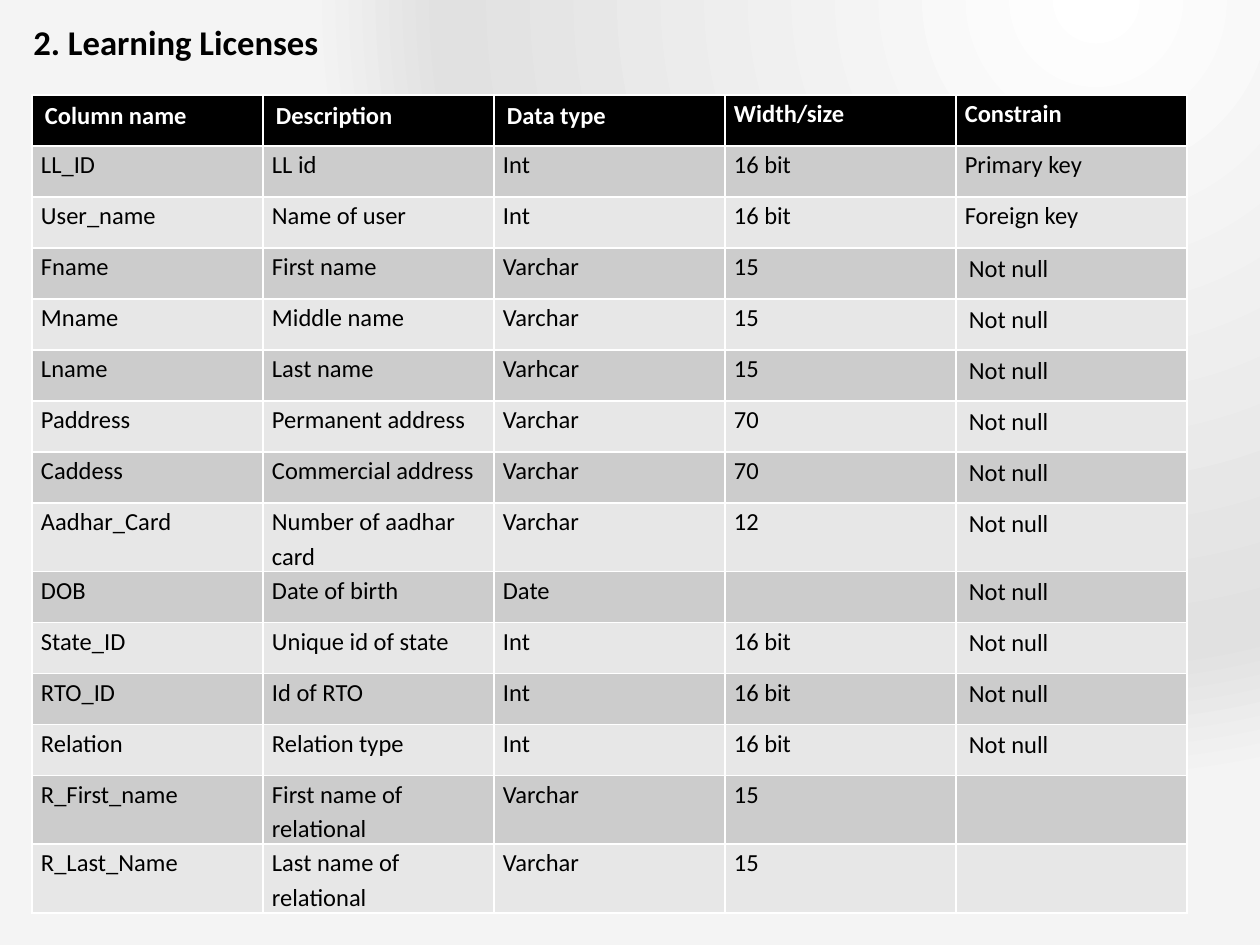
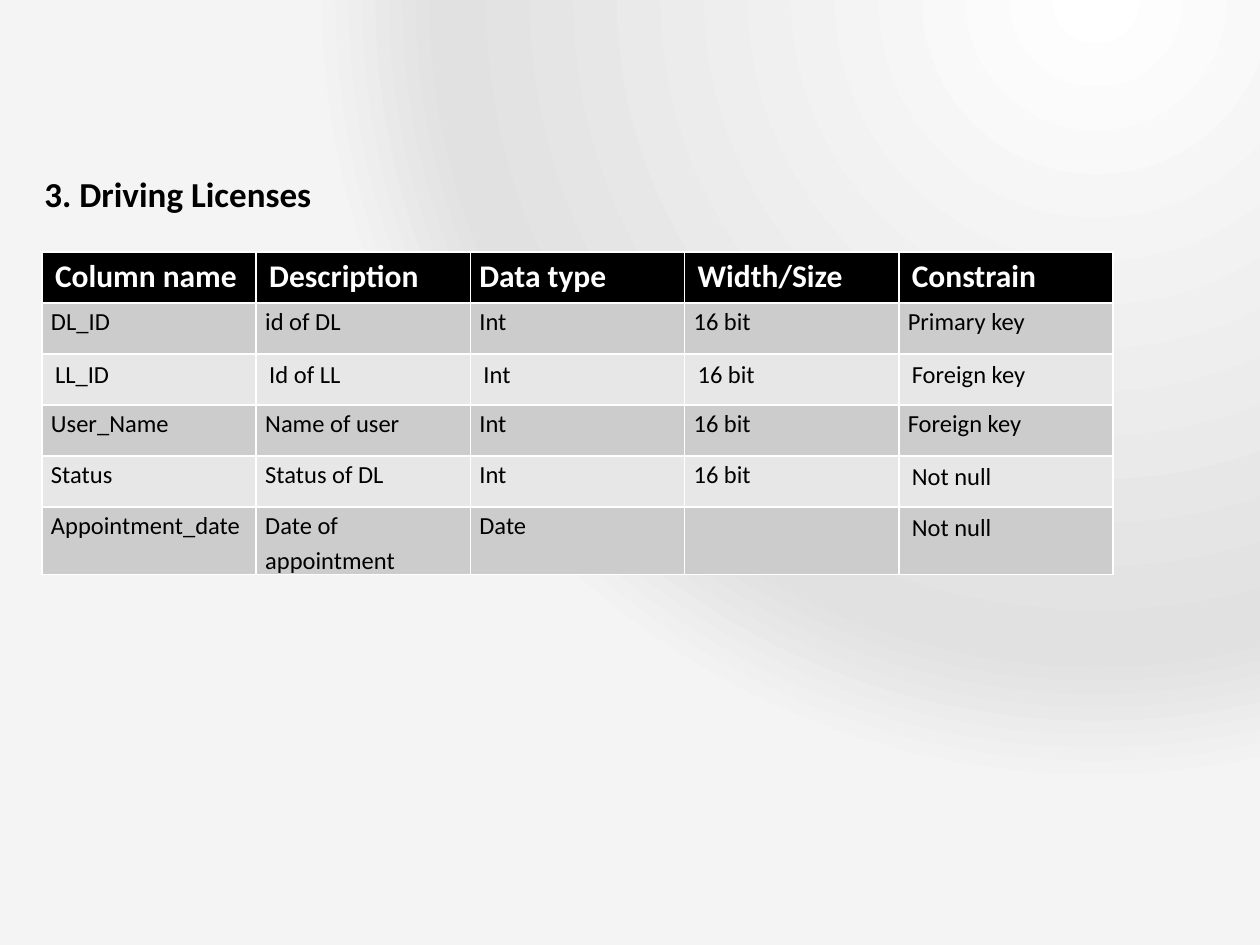
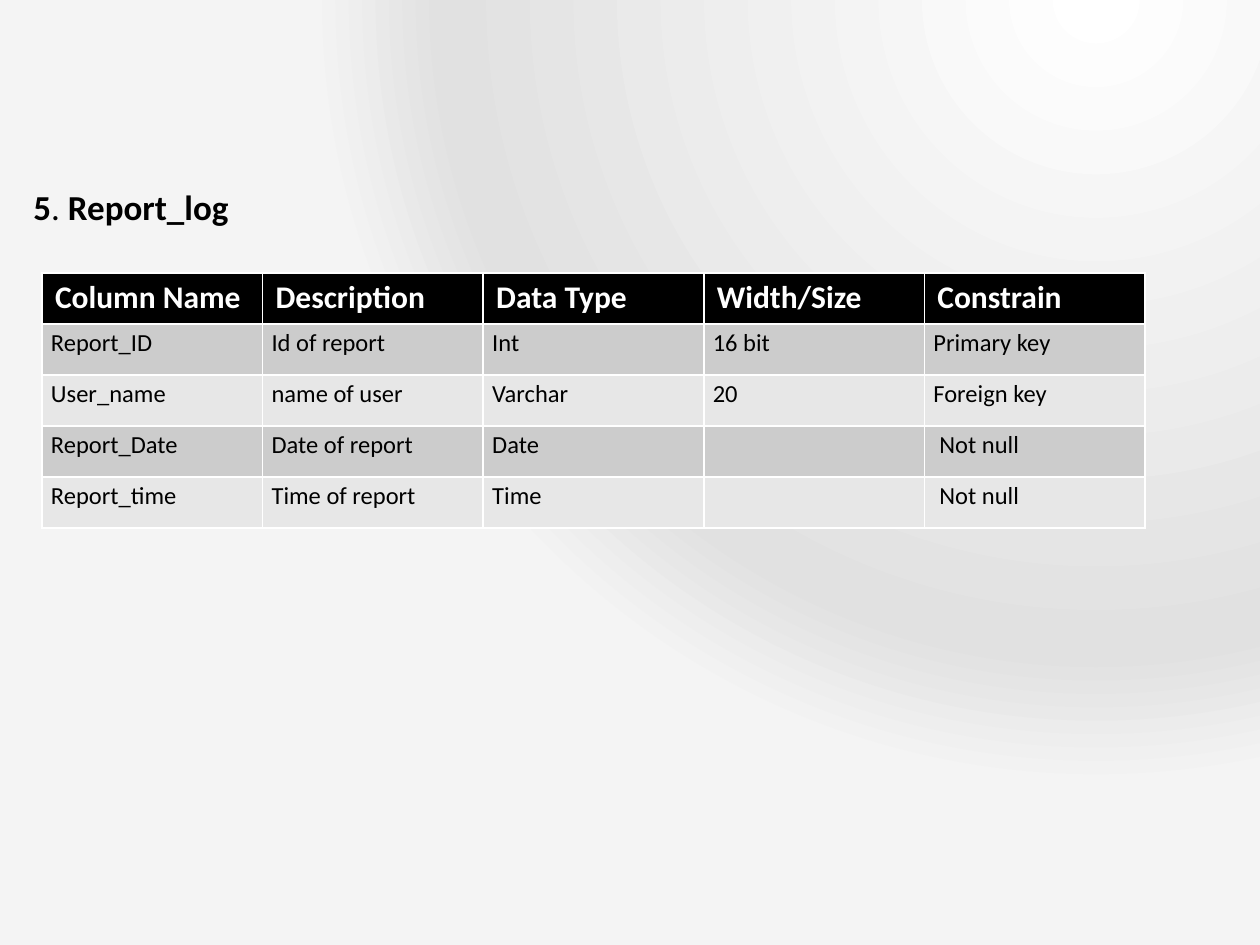
"""Builds three slides that describe the columns of licence database tables."""
from lxml import etree
from pptx import Presentation
from pptx.dml.color import RGBColor
from pptx.enum.text import MSO_ANCHOR
from pptx.oxml import parse_xml
from pptx.util import Emu, Pt

FONT = "Calibri"
BLACK, WHITE = "000000", "FFFFFF"
BANDS = ("CCCCCC", "E7E7E7")
GLOW_STOPS = [(0, "FFFFFF"), (83, "E1E1E1"), (100, "F4F4F4")]
GLOW_RECT = {"l": 75, "t": 100, "r": 0, "b": 300}
DRAWING_NS = "http://schemas.openxmlformats.org/drawingml/2006/main"
SLIDE_SIZE = (1260, 945)
ROW_HEIGHT = 51

# Cell padding: left, top, right, bottom in px, then line spacing
PADDING = {
    "r": (13, 6, 13, 6, None),
    "t": (9, 0, 9, 0, 1.15),
    "i": (15, 0, 9, 0, 1.15),
}

SLIDES = [
    {
        "title": [("2. Learning Licenses", True)],
        "title_size": 19.8,
        "title_box": (21, 21, 420, 95),
        "title_inset": 0,
        "table_box": (32, 95, 1155, 817),
        "header_size": 14,
        "padding": ["rrrtt"] + ["ttttt"] * 2 + ["ttttr"] * 12,
        "rows": [
            ("Column name", "Description", "Data type", "Width/size", "Constrain"),
            ("LL_ID", "LL id", "Int", "16 bit", "Primary key"),
            ("User_name", "Name of user", "Int", "16 bit", "Foreign key"),
            ("Fname", "First name", "Varchar", "15", "Not null"),
            ("Mname", "Middle name", "Varchar", "15", "Not null"),
            ("Lname", "Last name", "Varhcar", "15", "Not null"),
            ("Paddress", "Permanent address", "Varchar", "70", "Not null"),
            ("Caddess", "Commercial address", "Varchar", "70", "Not null"),
            ("Aadhar_Card", "Number of aadhar card", "Varchar", "12", "Not null"),
            ("DOB", "Date of birth", "Date", "", "Not null"),
            ("State_ID", "Unique id of state", "Int", "16 bit", "Not null"),
            ("RTO_ID", "Id of RTO", "Int", "16 bit", "Not null"),
            ("Relation", "Relation type", "Int", "16 bit", "Not null"),
            ("R_First_name", "First name of relational", "Varchar", "15", ""),
            ("R_Last_Name", "Last name of relational", "Varchar", "15", ""),
        ],
    },
    {
        "title": [("3. Driving Licenses", True)],
        "title_size": 20,
        "title_box": (32, 63, 1029, 262),
        "title_inset": 110,
        "table_box": (42, 252, 1071, 322),
        "header_size": 18,
        "padding": ["rrtrr", "ttttt", "rrrrr", "ttttt", "ttttr", "ttttr"],
        "rows": [
            ("Column name", "Description", "Data type", "Width/Size", "Constrain"),
            ("DL_ID", "id of DL", "Int", "16 bit", "Primary key"),
            ("LL_ID", "Id of LL", "Int", "16 bit", "Foreign key"),
            ("User_Name", "Name of user", "Int", "16 bit", "Foreign key"),
            ("Status", "Status of DL", "Int", "16 bit", "Not null"),
            ("Appointment_date", "Date of appointment", "Date", "", "Not null"),
        ],
    },
    {
        "title": [("5", True), (". ", False), ("Report_log", True)],
        "title_size": 20,
        "title_box": (21, 32, 1155, 410),
        "title_inset": 153,
        "table_box": (42, 273, 1103, 255),
        "header_size": 18,
        "padding": ["rrrrr"] + ["ttttt"] * 2 + ["tttti"] * 2,
        "rows": [
            ("Column Name", "Description", "Data Type", "Width/Size", "Constrain"),
            ("Report_ID", "Id of report", "Int", "16 bit", "Primary key"),
            ("User_name", "name of user", "Varchar", "20", "Foreign key"),
            ("Report_Date", "Date of report", "Date", "", "Not null"),
            ("Report_time", "Time of report", "Time", "", "Not null"),
        ],
    },
]


def px(length):
    return Emu(round(length * 914400 / 126))


def color(value):
    return RGBColor.from_string(value)


def style_font(font, size, value):
    font.name, font.size = FONT, Pt(size)
    font.color.rgb = color(value)


def set_background(master):
    master.background.fill.background()
    empty_fill = master.element.xpath(".//p:bgPr/a:noFill")[0]
    gradient = parse_xml(f'<a:gradFill xmlns:a="{DRAWING_NS}" rotWithShape="1"/>')

    def add(parent, tag, **attributes):
        return etree.SubElement(parent, f"{{{DRAWING_NS}}}{tag}", attributes)

    stops = add(gradient, "gsLst")
    for position, value in GLOW_STOPS:
        add(add(stops, "gs", pos=str(position * 1000)), "srgbClr", val=value)
    sides = {side: str(percent * 1000) for side, percent in GLOW_RECT.items()}
    add(add(gradient, "path", path="circle"), "fillToRect", **sides)
    empty_fill.getparent().replace(empty_fill, gradient)


def fill_cell(cell, text, padding, is_header, size, fill):
    left, top, right, bottom, spacing = PADDING[padding]
    cell.margin_left, cell.margin_top = px(left), px(top)
    cell.margin_right, cell.margin_bottom = px(right), px(bottom)
    cell.fill.solid()
    cell.fill.fore_color.rgb = color(fill)
    cell.text = text
    paragraph = cell.text_frame.paragraphs[0]
    if spacing:
        paragraph.line_spacing = spacing
    style_font(paragraph.font, size, WHITE if is_header else BLACK)
    paragraph.font.bold = is_header


def add_column_table(slide, content):
    rows = content["rows"]
    left, top, width, height = map(px, content["table_box"])
    frame = slide.shapes.add_table(len(rows), len(rows[0]), left, top, width, height)
    table = frame.table
    for row_index, (texts, paddings) in enumerate(zip(rows, content["padding"])):
        is_header = row_index == 0
        table.rows[row_index].height = px(ROW_HEIGHT)
        size = content["header_size"] if is_header else 14
        fill = BLACK if is_header else BANDS[(row_index - 1) % 2]
        for column_index, (text, padding) in enumerate(zip(texts, paddings)):
            cell = table.cell(row_index, column_index)
            fill_cell(cell, text, padding, is_header, size, fill)
    frame.height = height


def add_title(slide, content):
    box = slide.shapes.add_textbox(*map(px, content["title_box"]))
    text_frame = box.text_frame
    text_frame.word_wrap = True
    text_frame.vertical_anchor = MSO_ANCHOR.TOP
    text_frame.margin_top = px(content["title_inset"])
    paragraph = text_frame.paragraphs[0]
    style_font(paragraph.font, content["title_size"], BLACK)
    for text, bold in content["title"]:
        run = paragraph.add_run()
        run.text = text
        run.font.bold = bold


def main():
    presentation = Presentation()
    presentation.slide_width, presentation.slide_height = map(px, SLIDE_SIZE)
    set_background(presentation.slide_master)
    for content in SLIDES:
        slide = presentation.slides.add_slide(presentation.slide_layouts[6])
        add_column_table(slide, content)
        add_title(slide, content)
    presentation.save("out.pptx")


if __name__ == "__main__":
    main()
